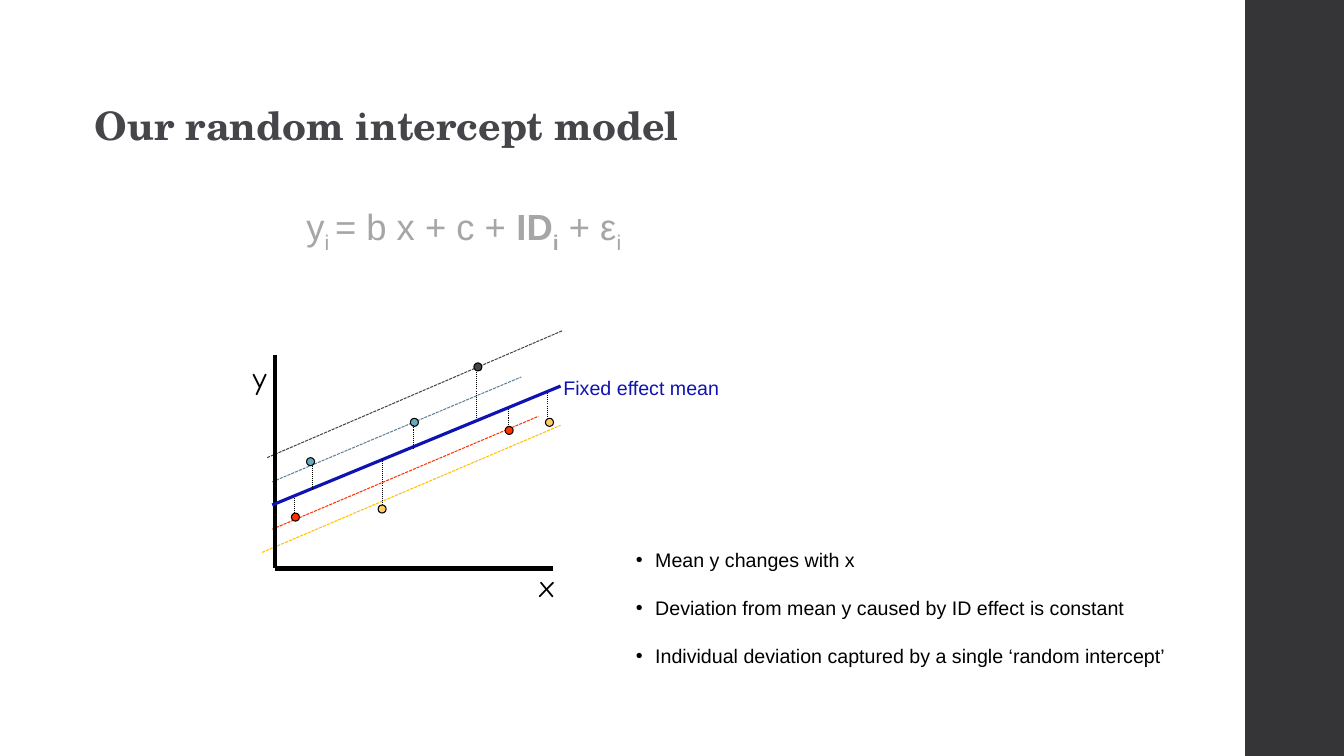
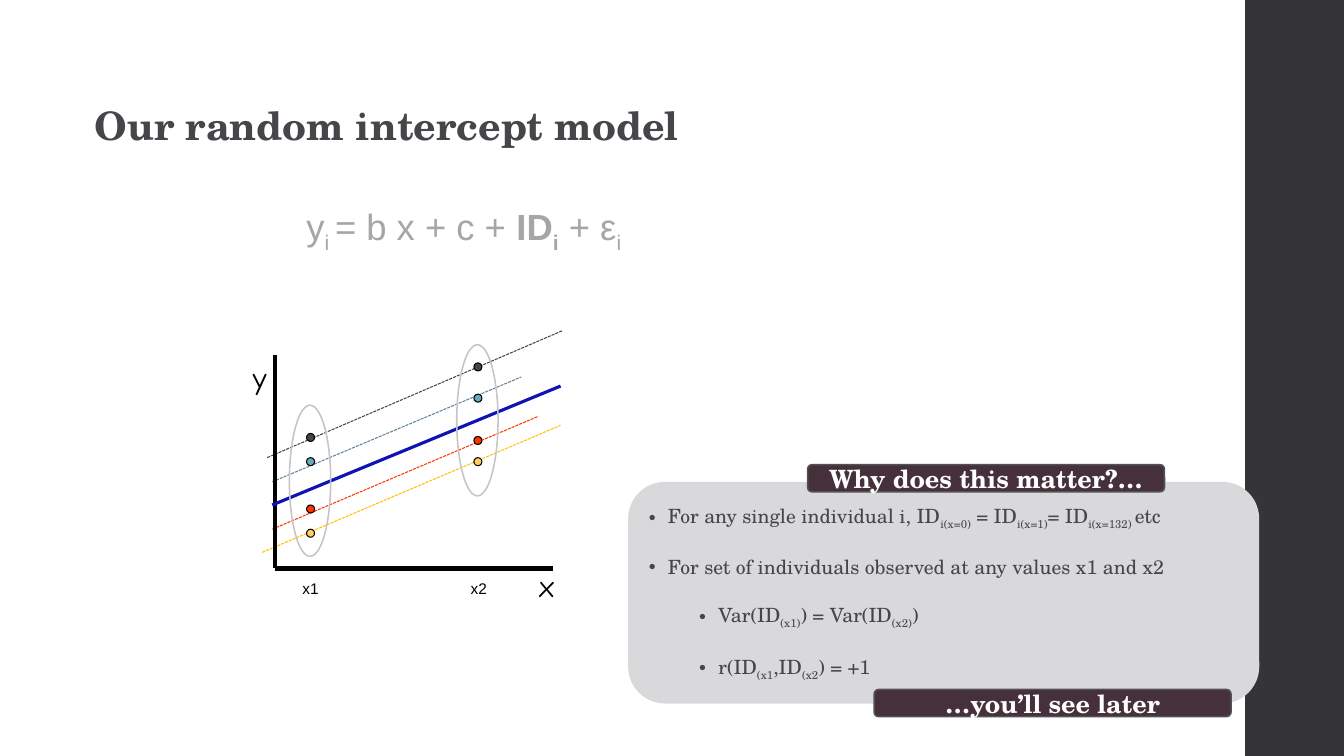
"""Build two slides on a random intercept model."""
import lxml.etree
import pptx
import pptx.dml.color
import pptx.enum.dml
import pptx.enum.shapes
import pptx.enum.text
import pptx.oxml.ns
import pptx.util

PX = 9144


class Theme:
    head, sans, hand = "TeX Gyre Schola", "Arial", "Comic Neue"
    black, white, ink, bar = "000000", "FFFFFF", "46464A", "353537"
    pale, panel, ring = "A6A6A6", "D9D9DB", "C5C5C8"
    tag, edge, mean = "46313A", "525256", "0F13B1"
    blue, red, gold = "67AABF", "FF3300", "FFCC66"
    steel, amber = "618197", "FFC000"
    title, math, mark, call, body, tick = 28, 26, 22, 18, 14, 11
    axis, bold, thin, rim = 3, 2.25, 0.75, 1.1
    gap = 17.5


WIDE, HIGH = 1333, 750
DOT = 8
TITLE = "Our random intercept model"
# Parts split at "|": "*" makes bold, "_" makes a subscript
MODEL = "y|_i |= b x + c + |*ID|*_i| + ε|_i"
AXES = [(273, 352, 273, 564), (273, 564, 548, 564)]
MEAN = (270, 501, 556, 383)
TRENDS = [
    ((265, 454, 558, 328), Theme.ink),
    ((260, 548, 556, 422), Theme.amber),
    ((270, 525, 534, 413), Theme.red),
    ((270, 478, 517, 374), Theme.steel),
]
MARKS = [("y", (241, 351, 39, 47)), ("x", (525, 557, 55, 47))]

SPREAD = [
    (304, 454, Theme.blue), (289, 509, Theme.red), (407, 415, Theme.blue),
    (375, 501, Theme.gold), (470, 360, Theme.ink), (501, 423, Theme.red),
    (541, 415, Theme.gold),
]
DROPS = [
    (310, 462, 486), (379, 455, 502), (410, 422, 445), (473, 369, 416),
    (504, 406, 422), (543, 390, 414), (292, 494, 509),
]
NOTES = [
    (0, "Mean y changes with x"),
    (0, "Deviation from mean y caused by ID effect is constant"),
    (0, "Individual deviation captured by a single ‘random intercept’"),
]

HUES = [Theme.ink, Theme.blue, Theme.red, Theme.gold]
SETS = [
    ("x1", 304, (430, 454, 501, 525), (287, 402), 290),
    ("x2", 470, (360, 391, 433, 454), (453, 342), 457),
]
WHY = [
    (0, "For any single individual i, ID|_i(x=0)| = ID|_i(x=1)|= ID|_i(x=132) |etc"),
    (0, "For set of individuals observed at any values x1 and x2"),
    (1, "Var(ID|_(x1)|) = Var(ID|_(x2)|)"),
    (1, "r(ID|_(x1|,ID|_(x2|) = +1"),
]
TAGS = [("Why does this matter?…", 801, 461), ("…you’ll see later", 867, 684)]

KIND = pptx.enum.shapes.MSO_SHAPE
DASH = pptx.enum.dml.MSO_LINE
ALIGN = pptx.enum.text.PP_ALIGN
MID = pptx.enum.text.MSO_ANCHOR.MIDDLE


def emu(*sizes):
    return [size * PX for size in sizes]


def rgb(hue):
    return pptx.dml.color.RGBColor.from_string(hue)


def node(host, tag, **attrs):
    return lxml.etree.SubElement(host, pptx.oxml.ns.qn(tag), attrs)


def style(font, face, size, hue, bold=False):
    font.name, font.size, font.bold = face, pptx.util.Pt(size), bold
    font.color.rgb = rgb(hue)


def write(para, text, face, size, hue):
    for part in text.split("|"):
        run = para.add_run()
        run.text = part.lstrip("*_")
        style(run.font, face, size, hue, part.startswith("*"))
        if part.startswith(("_", "*_")):
            run.font._element.set("baseline", "-25000")


def label(slide, box, text, face, size, hue):
    frame = slide.shapes.add_textbox(*emu(*box)).text_frame
    frame.word_wrap = True
    write(frame.paragraphs[0], text, face, size, hue)
    return frame


def bullets(frame, rows, face, hue):
    for num, (level, text) in enumerate(rows):
        para = frame.add_paragraph() if num else frame.paragraphs[0]
        para.alignment, para.level = ALIGN.LEFT, level
        prop = para._p.get_or_add_pPr()
        prop.set("marL", str((19 + 50 * level) * PX))
        prop.set("indent", str(-19 * PX))
        node(prop, "a:buFont", typeface=Theme.sans)
        node(prop, "a:buChar", char="•")
        para.space_before = pptx.util.Pt(Theme.gap if num else 0)
        write(para, text, face, Theme.body, hue)


def line(slide, ends, hue, width, dash=None):
    link = slide.shapes.add_connector(
        pptx.enum.shapes.MSO_CONNECTOR.STRAIGHT, *emu(*ends))
    link.line.color.rgb = rgb(hue)
    link.line.width = pptx.util.Pt(width)
    if dash:
        link.line.dash_style = dash
    node(link.element.spPr, "a:effectLst")


def shape(slide, kind, box, fill=None, edge=None, width=Theme.thin):
    item = slide.shapes.add_shape(kind, *emu(*box))
    item.shadow.inherit = False
    if fill:
        item.fill.solid()
        item.fill.fore_color.rgb = rgb(fill)
    else:
        item.fill.background()
    if edge:
        item.line.color.rgb = rgb(edge)
        item.line.width = pptx.util.Pt(width)
    else:
        item.line.fill.background()
    return item


def dot(slide, left, top, hue):
    shape(slide, KIND.OVAL, (left, top, DOT, DOT), hue, Theme.black)


def base(deck, layout):
    slide = deck.slides.add_slide(layout)
    title = slide.shapes.title
    title.left, title.top, title.width, title.height = emu(84, 61, 900, 125)
    frame = title.text_frame
    frame.text = TITLE
    frame.auto_size = pptx.enum.text.MSO_AUTO_SIZE.NONE
    frame.vertical_anchor = MID
    para = frame.paragraphs[0]
    para.alignment = ALIGN.LEFT
    style(para.runs[0].font, Theme.head, Theme.title, Theme.ink, True)
    label(slide, (294, 198, 700, 51), MODEL, Theme.sans, Theme.math, Theme.pale)
    for ends, hue in TRENDS:
        line(slide, ends, hue, Theme.thin, DASH.SQUARE_DOT)
    for ends in AXES:
        line(slide, ends, Theme.black, Theme.axis)
    line(slide, MEAN, Theme.mean, Theme.bold)
    for text, box in MARKS:
        label(slide, box, text, Theme.hand, Theme.mark, Theme.black)
    return slide


def band(slide, layout):
    bar = shape(slide, KIND.RECTANGLE, (1235, 0, 100, HIGH), Theme.bar)
    bar.element.nvSpPr.cNvPr.set("id", "90")
    layout.shapes.element.insert(2, bar.element)


def spread(slide):
    for spot in SPREAD:
        dot(slide, *spot)
    for left, top, end in DROPS:
        line(slide, (left, top, left, end), Theme.black, Theme.thin, DASH.ROUND_DOT)
    label(slide, (549, 368, 206, 34), "Fixed effect mean",
          Theme.sans, Theme.body, Theme.mean)
    frame = slide.shapes.add_textbox(*emu(621, 539, 563, 128)).text_frame
    frame.word_wrap = True
    bullets(frame, NOTES, Theme.sans, Theme.black)


def matter(slide):
    for name, left, tops, ring, tick in SETS:
        for top, hue in zip(tops, HUES):
            dot(slide, left, top, hue)
        shape(slide, KIND.OVAL, (*ring, 41, 150), None, Theme.ring, Theme.rim)
        label(slide, (tick, 570, 41, 29), name, Theme.sans, Theme.tick, Theme.black)
    panel = shape(slide, KIND.ROUNDED_RECTANGLE, (623, 478, 626, 220), Theme.panel)
    panel.text_frame.vertical_anchor = MID
    bullets(panel.text_frame, WHY, Theme.head, Theme.ink)
    for text, left, top in TAGS:
        tag = shape(slide, KIND.ROUNDED_RECTANGLE, (left, top, 354, 27),
                    Theme.tag, Theme.edge, Theme.rim)
        tag.text_frame.vertical_anchor = MID
        para = tag.text_frame.paragraphs[0]
        para.alignment = ALIGN.CENTER
        write(para, "*" + text, Theme.head, Theme.call, Theme.white)


def main():
    deck = pptx.Presentation()
    deck.slide_width, deck.slide_height = emu(WIDE, HIGH)
    layout = deck.slide_layouts[5]
    first, second = base(deck, layout), base(deck, layout)
    band(first, layout)
    spread(first)
    matter(second)
    deck.save("out.pptx")


if __name__ == "__main__":
    main()
